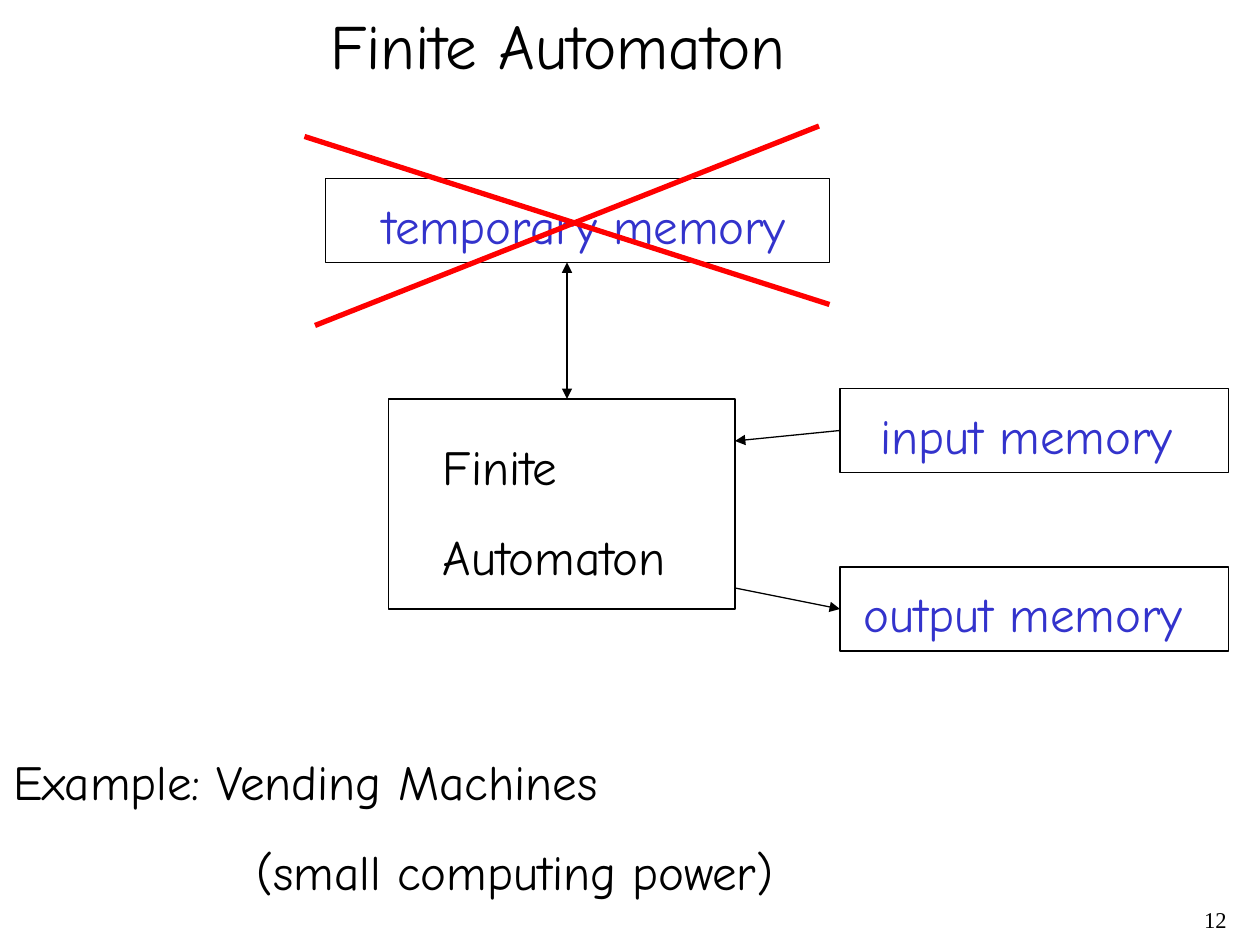
from pptx import Presentation
from pptx.dml.color import RGBColor
from pptx.enum.shapes import MSO_CONNECTOR as Link, MSO_SHAPE as Form
from pptx.enum.text import MSO_AUTO_SIZE as Fit, PP_ALIGN as Align
from pptx.oxml.ns import qn
from pptx.util import Pt
from lxml.etree import SubElement as add_sub

BLACK = RGBColor(0, 0, 0)
BLUE = RGBColor(0x33, 0x33, 0xCC)
RED = RGBColor(0xFF, 0, 0)

deck = Presentation()
deck.slide_width, deck.slide_height = Pt(720), Pt(540)
slide = deck.slides.add_slide(deck.slide_layouts[6])
shapes = slide.shapes


def add_text(rows, spot, size, color, face="Comic Neue"):
    box = shapes.add_textbox(*map(Pt, spot))
    frame = box.text_frame
    frame.word_wrap = False
    frame.auto_size = Fit.SHAPE_TO_FIT_TEXT
    frame.text = "\n".join(rows)
    for i, para in enumerate(frame.paragraphs):
        para.space_before = Pt(17.5 if i else 0)
        for key, value in {"name": face, "size": Pt(size)}.items():
            setattr(para.font, key, value)
        para.font.color.rgb = color
    return frame


def add_line(start, end, color, width, *tips):
    line = shapes.add_connector(Link.STRAIGHT, *map(Pt, start + end))
    line.line.color.rgb = color
    line.line.width = Pt(width)
    pen = line.line._get_or_add_ln()
    for tip in tips:
        add_sub(pen, qn(f"a:{tip}"), type="triangle")
    add_sub(line._element.spPr, qn("a:effectLst"))
    return line


page = add_text(["12"], (558, 516, 150, 24), 12.9, BLACK, "Times New Roman")
page.word_wrap = True
page.auto_size = Fit.NONE
page.paragraphs[0].alignment = Align.RIGHT
page.paragraphs[0].line_spacing = 0.9

boxes = {}
for name, spot in {
    "temp": (186, 102, 288, 48),
    "input": (480, 222, 222, 48),
    "output": (480, 324, 222, 48),
    "core": (222, 228, 198, 120),
}.items():
    box = shapes.add_shape(Form.RECTANGLE, *map(Pt, spot))
    box.shadow.inherit = False
    box.fill.background()
    box.line.color.rgb = BLACK
    box.line.width = Pt(0.75)
    boxes[name] = box

for label, spot in [
    ("input memory", (496, 228, 181.5, 41)),
    ("output memory", (486.5, 330, 196.5, 41)),
    ("temporary memory", (211.5, 108, 246.5, 41)),
]:
    add_text([label], spot, 28, BLUE)

add_text(["Finite", "Automaton"], (246, 246, 143.5, 92), 28, BLACK)
add_text(["Finite Automaton"], (181.5, 0, 278, 50.5), 36, BLACK)

add_line((324, 150), (324, 228), BLACK, 0.75, "headEnd", "tailEnd")
feed = add_line((420, 252), (480, 246), BLACK, 0.75, "headEnd")
feed.end_connect(boxes["input"], 1)
send = add_line((420, 336), (480, 348), BLACK, 0.75, "tailEnd")
send.end_connect(boxes["output"], 1)

add_line((174, 78), (474, 174), RED, 3)
add_line((180, 186), (468, 72), RED, 3)

rows = ["Example: Vending Machines", "(small computing power)"]
note = add_text(rows, (0.5, 426, 451, 92), 28, BLACK)
note.paragraphs[1]._p.get_or_add_pPr().set("marL", str(Pt(139)))

deck.save("out.pptx")
